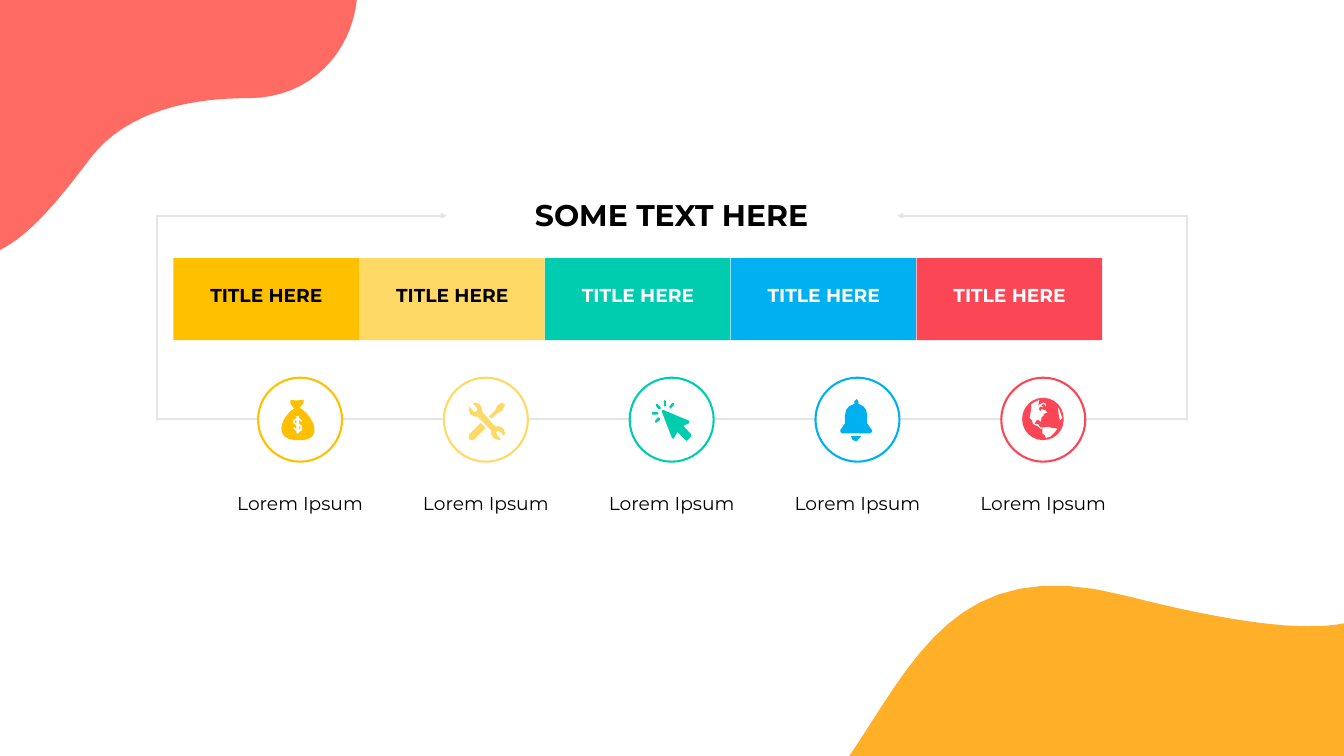
from math import dist

from lxml import etree
from pptx import Presentation
from pptx.dml.color import RGBColor
from pptx.enum.shapes import MSO_CONNECTOR, MSO_SHAPE
from pptx.enum.text import MSO_AUTO_SIZE, PP_ALIGN
from pptx.oxml.ns import qn
from pptx.util import Inches, Pt

STRAIGHT = MSO_CONNECTOR.STRAIGHT
RECTANGLE = MSO_SHAPE.RECTANGLE
OVAL = MSO_SHAPE.OVAL
CENTER = PP_ALIGN.CENTER
FIT_SHAPE = MSO_AUTO_SIZE.SHAPE_TO_FIT_TEXT

FONT = "Montserrat"
BLACK, WHITE, GRAY = "000000", "FFFFFF", "E7E6E6"
COLUMN_STEP = 11.06 / 4
CURVE_STEP = 0.09
MAX_CURVE_STEPS = 16

# Outlines: M, L and C commands; icons are in hundredths of an inch from the ring's corner
MONEY_BAG = """
M 62 45 C 67 41 70 33 68 33 C 65 32 60 34 57 34 C 54 35 50 30 48 33
C 46 35 49 43 54 46 C 39 53 19 90 55 93 C 105 97 79 53 62 45
M 66 75 L 65 79 61 81 61 83 57 83 57 80 52 75 54 73 57 77 57 71 52 67 53 62
57 60 57 57 61 57 61 60 66 64 64 66 61 63 61 68 65 71
M 63 73 L 61 72 61 77 63 75 M 55 64 L 55 66 57 68 57 63"""
TOOLS = """
M 38 84 L 37 88 38 92 41 93 45 92 62 75 55 67
M 80 53 L 87 49 91 41 87 37 80 41 76 49 67 58 71 61
M 81 72 L 77 73 57 51 57 47 C 57 42 52 37 47 37 L 43 38 49 45 50 47 49 50 46 51
44 50 38 43 37 48 C 37 53 41 58 46 58 L 50 58 71 79 70 83 C 71 88 75 93 81 93
L 85 92 79 85 78 82 79 80 81 79 83 80 90 87 91 82 C 91 77 87 72 81 72"""
POINTER = """
M 92 85 L 80 72 88 68 89 66 88 64 50 48 48 49 48 51 63 90 65 91 66 90 71 81
83 93 85 94 86 93 92 87
M 41 39 L 39 39 39 42 43 47 46 47 46 44 M 43 53 L 41 51 34 51 33 53 34 55 41 55
M 42 59 L 38 64 38 67 40 67 45 63 45 60 M 52 43 L 54 42 54 35 52 33 51 35 51 42
M 60 46 L 61 46 66 41 66 38 63 38 59 43"""
BELL = """
M 53 87 C 53 91 56 95 61 95 C 65 95 68 91 68 87
M 84 78 L 77 68 77 56 C 77 47 72 41 64 39 L 64 35 C 64 31 58 31 58 35 L 58 39
C 49 41 44 47 44 56 L 44 68 37 78 37 81 40 83 81 83 84 81"""
GLOBE = """
M 62 30 C 45 30 31 44 31 62 C 31 79 45 93 62 93 C 80 93 93 79 93 62 C 93 44 80 30 62 30
M 84 76 L 80 81 73 88 66 90 65 86 61 83 61 75 59 77 55 73 47 69 46 64 42 60 45 44 44 40
50 36 57 33 55 41 62 37 66 38 67 44 63 39 60 41 63 45 58 43 56 47 59 50 59 47 65 48 69 52
63 54 63 57 60 59 59 66 55 63 52 64 50 69 55 69 58 74 64 74 70 73 76 75 80 75
M 88 64 L 86 60 85 50 84 45 86 46 91 60"""
TOP_BLOB = """
M 3.7 1.46 C 4.64 1.46 5.23 0.76 5.31 0 L 0 0 0 3.72
C 0.44 3.5 0.85 3.01 1.34 2.36 C 1.89 1.64 2.85 1.46 3.7 1.46"""
BOTTOM_BLOB = """
M 12.56 11.36 L 12.6 11.31 C 13.6 9.84 14.23 8.21 16.73 8.86
C 18.26 9.25 19.38 9.41 20.03 9.27 L 20.03 11.36"""

# Fill, title colour and icon of each column
COLUMNS = [
    ("FFC000", BLACK, MONEY_BAG),
    ("FFD966", BLACK, TOOLS),
    ("00CCAF", WHITE, POINTER),
    ("00B0F0", WHITE, BELL),
    ("FA4655", WHITE, GLOBE),
]


def color(value):
    return RGBColor.from_string(value)


def curve_points(corners, unit):
    """Points along a cubic curve, without its start; longer curves get more."""
    length = unit * sum(dist(a, b) for a, b in zip(corners, corners[1:]))
    steps = max(1, min(MAX_CURVE_STEPS, round(length / CURVE_STEP)))
    points = []
    for step in range(1, steps + 1):
        t = step / steps
        weights = ((1 - t) ** 3, 3 * t * (1 - t) ** 2, 3 * t * t * (1 - t), t ** 3)
        points.append(tuple(sum(w * corner[axis] for w, corner in zip(weights, corners))
                            for axis in (0, 1)))
    return points


def read_contours(outline, unit):
    """Turn an outline into one list of points per contour."""
    contours, command = [], ""
    tokens = iter(outline.split())
    for token in tokens:
        if token in ("M", "L", "C"):
            command, token = token, next(tokens)
        point = (float(token), float(next(tokens)))
        if command == "M":
            contours.append([point])
        elif command == "L":
            contours[-1].append(point)
        else:
            ends = [(float(next(tokens)), float(next(tokens))) for _ in range(2)]
            contours[-1] += curve_points([contours[-1][-1], point, *ends], unit)
    return contours


def add_outline(slide, outline, fill, left=0, top=0, unit=1):
    contours = [[(Inches(left + x * unit), Inches(top + y * unit)) for x, y in contour]
                for contour in read_contours(outline, unit)]
    builder = slide.shapes.build_freeform(*contours[0][0])
    for index, contour in enumerate(contours):
        if index:
            builder.move_to(*contour[0])
        builder.add_line_segments(contour[1:], close=True)
    style_shape(builder.convert_to_shape(), fill)


def style_shape(shape, fill, line=None):
    shape.shadow.inherit = False
    shape.fill.solid()
    shape.fill.fore_color.rgb = color(fill)
    if line:
        shape.line.color.rgb = color(line)
        shape.line.width = Pt(2.25)
    else:
        shape.line.fill.background()


def add_box(slide, kind, left, top, width, height, fill, line=None):
    shape = slide.shapes.add_shape(kind, Inches(left), Inches(top), Inches(width), Inches(height))
    style_shape(shape, fill, line)


def add_text(slide, text, left, top, width, height, size, font_color=BLACK, bold=False,
             spacing=None):
    box = slide.shapes.add_textbox(Inches(left), Inches(top), Inches(width), Inches(height))
    frame = box.text_frame
    frame.word_wrap = False
    frame.auto_size = FIT_SHAPE
    paragraph = frame.paragraphs[0]
    paragraph.text = text
    paragraph.alignment = CENTER
    paragraph.line_spacing = spacing
    font = paragraph.font
    font.name, font.size, font.bold = FONT, Pt(size), bold
    font.color.rgb = color(font_color)


def add_line(slide, x1, y1, x2, y2, arrow=False):
    connector = slide.shapes.add_connector(STRAIGHT, Inches(x1), Inches(y1), Inches(x2), Inches(y2))
    connector.line.color.rgb = color(GRAY)
    connector.line.width = Pt(2.25)
    properties = connector._element.spPr
    if arrow:
        etree.SubElement(properties.find(qn("a:ln")), qn("a:tailEnd"), type="triangle")
    etree.SubElement(properties, qn("a:effectLst"))


def add_frame(slide):
    add_line(slide, 2.32, 3.21, 6.65, 3.21, arrow=True)
    add_line(slide, 17.68, 3.21, 13.35, 3.21, arrow=True)
    for x in (2.34, 17.66):
        add_line(slide, x, 3.21, x, 6.26)
    add_line(slide, 2.34, 6.24, 17.66, 6.24)


def add_column(slide, offset, fill, title_color, icon):
    add_box(slide, RECTANGLE, 2.58 + offset, 3.84, 2.76, 1.22, fill)
    add_text(slide, "TITLE HERE", 3.02 + offset, 4.18, 1.89, 0.44, 20, title_color, bold=True)
    add_box(slide, OVAL, 3.84 + offset, 5.62, 1.25, 1.25, WHITE, line=fill)
    add_outline(slide, icon, fill, 3.84 + offset, 5.62, unit=0.01)
    add_text(slide, "Lorem Ipsum", 3.39 + offset, 7.26, 2.15, 0.43, 20, spacing=Pt(25))


def main():
    presentation = Presentation()
    presentation.slide_width = Inches(20)
    presentation.slide_height = Inches(11.25)
    slide = presentation.slides.add_slide(presentation.slide_layouts[6])

    # Heading and its frame
    add_frame(slide)
    add_text(slide, "SOME TEXT HERE", 6.95, 2.88, 6.09, 0.64, 32, bold=True)

    # Five columns
    for index, column in enumerate(COLUMNS):
        add_column(slide, index * COLUMN_STEP, *column)

    # Corner blobs
    add_outline(slide, TOP_BLOB, "FF6B63")
    add_outline(slide, BOTTOM_BLOB, "FFAF28")

    presentation.save("out.pptx")


main()
